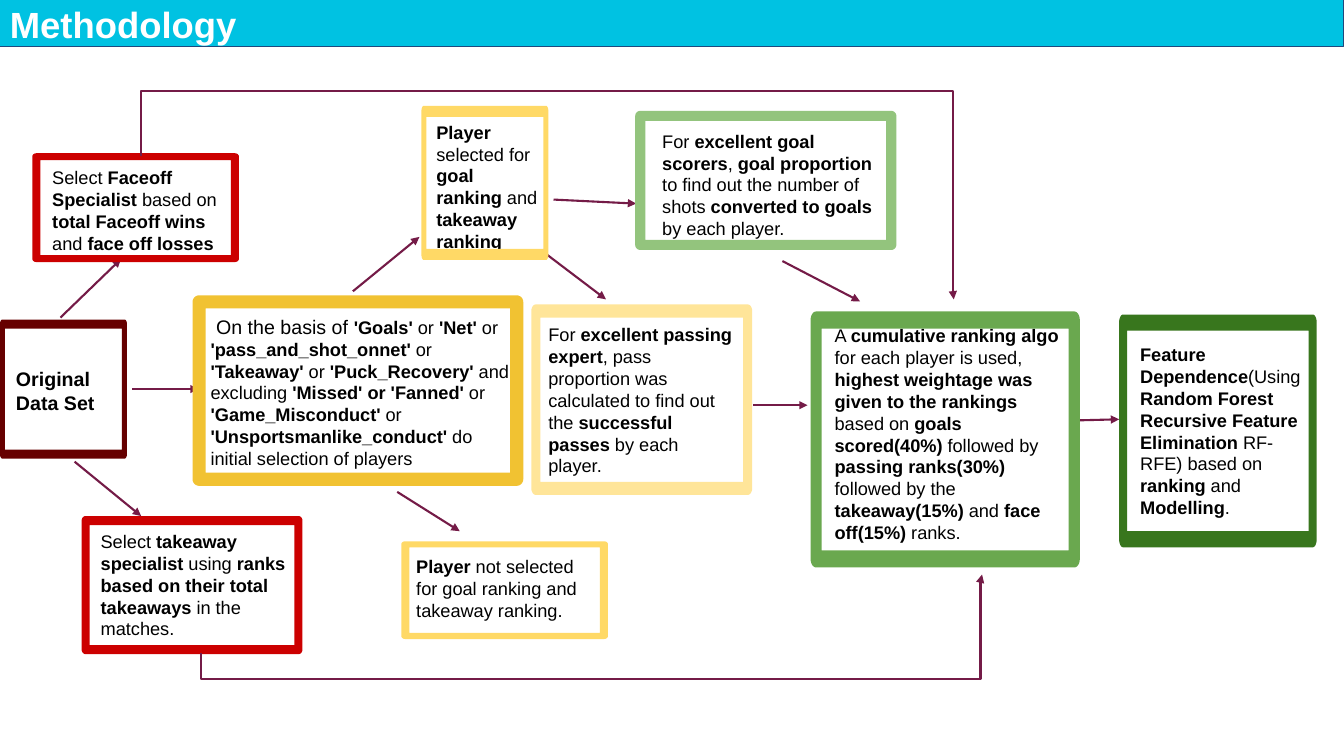
"""Build the Methodology slide: a flow of framed steps from the data set to modelling."""
from math import cos, pi, sin

from lxml.etree import SubElement
from pptx import Presentation
from pptx.dml.color import RGBColor
from pptx.enum.shapes import MSO_CONNECTOR as Connector, MSO_SHAPE as Preset
from pptx.enum.text import MSO_ANCHOR as Anchor, PP_ALIGN as Align
from pptx.oxml.ns import qn
from pptx.util import Inches, Pt

COLORS = {
    "banner": "00C2E2", "banner line": "1F497D", "arrow": "741B47", "black": "000000", "white": "FFFFFF",
    "maroon": "660000", "red": "CC0000", "gold": "F1C232", "yellow": "FFD966", "cream": "FFE599",
    "light green": "93C47D", "green": "6AA84F", "dark green": "38761D",
}
COLORS = {name: RGBColor.from_string(value) for name, value in COLORS.items()}


def write(shape, text, size, color="black", lead_size=None):
    """Fill a shape with text in which asterisks switch bold on and off."""
    frame = shape.text_frame
    layout = {"word_wrap": True, "margin_left": Inches(0.1), "margin_right": Inches(0.1),
              "margin_top": Inches(0.1), "margin_bottom": Inches(0.1)}
    for name, value in layout.items():
        setattr(frame, name, value)
    para = frame.paragraphs[0]
    para.alignment = Align.LEFT
    for index, part in enumerate(text.split("*")):
        if part:
            span = para.add_run()
            span.text = part
            span_size = lead_size if lead_size and index == 0 else size
            for name, value in {"name": "Arial", "size": Pt(span_size), "bold": index % 2 == 1}.items():
                setattr(span.font, name, value)
            span.font.color.rgb = COLORS[color]


def add_arrow(kind, start, end):
    """Draw a connector with a triangle head at its end."""
    arrow = page.shapes.add_connector(kind, *map(Inches, start + end))
    arrow.line.color.rgb = COLORS["arrow"]
    arrow.line.width = Pt(1.5)
    SubElement(arrow.line._get_or_add_ln(), qn("a:tailEnd"), type="triangle")
    SubElement(arrow._element.spPr, qn("a:effectLst"))
    return arrow


deck = Presentation()
deck.slide_width, deck.slide_height = Inches(13.33), Inches(7.5)
page = deck.slides.add_slide(deck.slide_layouts[6])

panels = [
    ((0, -0.03, 13.33, 0.49), "banner", "banner line", 0.75, ""),
    ((11.21, 1.86, 1.91, 4.83), "white", "white", 2.25,
     "*Feature Dependence*(Using *Random Forest Recursive Feature Elimination *RF-RFE) based on "
     "*ranking *and *Modelling*."),
]
for place, fill, line, width, text in panels:
    panel = page.shapes.add_shape(Preset.RECTANGLE, *map(Inches, place))
    panel.shadow.inherit = False
    panel.fill.solid()
    panel.fill.fore_color.rgb = COLORS[fill]
    panel.line.color.rgb = COLORS[line]
    panel.line.width = Pt(width)
    if text:
        panel.text_frame.vertical_anchor = Anchor.MIDDLE
        write(panel, text, 13)

texts = [
    ((0, -0.08, 9.3, 0.64), "*Methodology*", {"size": 26, "color": "white"}),
    ((0.06, 3.54, 1.22, 0.67), "*Original Data Set*", {"size": 14}),
    ((0.42, 1.55, 1.96, 1.08),
     "Select *Faceoff Specialist *based on *total Faceoff wins* and *face off losses*", {"size": 13}),
    ((0.9, 5.16, 2.19, 1.32),
     "Select *takeaway specialist* using *ranks based on their total takeaways* in the matches.", {"size": 13}),
    ((4.03, 5.41, 1.96, 0.86),
     "*Player *not selected for goal ranking and takeaway ranking.", {"size": 13}),
    ((6.47, 1.19, 2.33, 1.53),
     "For *excellent goal scorers*, *goal proportion* to find out the number of shots "
     "*converted to goals* by each player.", {"size": 13}),
    ((1.99, 3.02, 3.21, 2.31),
     " On the basis of *'Goals' *or *'Net' *or *'pass_and_shot_onnet'* or *'Takeaway'* or "
     "*'Puck_Recovery'* and excluding *'Missed' or 'Fanned'* or *'Game_Misconduct'* or "
     "*'Unsportsmanlike_conduct'* do initial selection of players", {"size": 13, "lead_size": 14}),
    ((4.23, 1.1, 1.26, 1.75),
     "*Player *selected for *goal ranking* and *takeaway ranking*", {"size": 13}),
    ((5.34, 3.11, 2.05, 1.99),
     "For *excellent passing expert*, pass proportion was calculated to find out the "
     "*successful passes* by each player.", {"size": 13}),
    ((8.18, 3.12, 2.54, 2.64),
     "A *cumulative ranking algo *for each player is used, *highest weightage was given to the "
     "rankings* based on* goals scored(40%) *followed by *passing ranks(30%)* followed by the "
     "*takeaway(15%) *and *face off(15%)* ranks.", {"size": 13}),
]
for place, text, style in texts:
    write(page.shapes.add_textbox(*map(Inches, place)), text, **style)

arrows = [
    ((1.31, 3.86), (1.97, 3.86)), ((0.6, 3.15), (1.2, 2.57)), ((0.74, 4.58), (1.4, 5.12)),
    ((3.94, 4.88), (4.56, 5.27)), ((3.5, 2.89), (4.16, 2.35)), ((5.49, 1.98), (6.31, 2.02)),
    ((5.43, 2.53), (6.01, 2.97)), ((7.76, 2.59), (8.53, 2.99)), ((7.47, 4.02), (8.01, 4.02)),
    ((10.71, 4.17), (11.1, 4.16)),
]
for start, end in arrows:
    add_arrow(Connector.STRAIGHT, start, end)

frames = [
    ((1.91, 2.93, 3.28, 1.89), 0.13, 0.13, "gold"),
    ((0.32, 1.52, 2.05, 1.08), 0.08, 0.07, "red"),
    ((0.81, 5.12, 2.19, 1.37), 0.08, 0.09, "red"),
    ((4.18, 1.05, 1.26, 1.53), 0.05, 0.11, "yellow"),
    ((6.3, 1.1, 2.59, 1.38), 0.1, 0.1, "light green"),
    ((5.27, 3.02, 2.19, 1.89), 0.09, 0.13, "cream"),
    ((8.04, 3.09, 2.67, 2.54), 0.11, 0.17, "green"),
    ((3.98, 5.37, 2.05, 0.97), 0.08, 0.06, "yellow"),
    ((11.1, 3.12, 1.96, 2.31), 0.08, 0.16, "dark green"),
    ((0, 3.17, 1.26, 1.38), 0.05, 0.09, "maroon"),
]
for (left, top, width, height), side, edge, color in frames:
    right, bottom = left + width, top + height
    radius_x, radius_y = side / 2, edge / 2
    centers = [(right - radius_x, bottom - radius_y), (left + radius_x, bottom - radius_y),
               (left + radius_x, top + radius_y), (right - radius_x, top + radius_y)]
    outer = [(x + radius_x * cos(angle), y + radius_y * sin(angle))
             for corner, (x, y) in enumerate(centers)
             for angle in [(corner + step / 6) * pi / 2 for step in range(7)]]
    inner = [(left + side, top + edge), (left + side, bottom - edge),
             (right - side, bottom - edge), (right - side, top + edge)]
    outer, inner = [[(Inches(x), Inches(y)) for x, y in ring] for ring in (outer, inner)]
    builder = page.shapes.build_freeform(*outer[0])
    builder.add_line_segments(outer[1:], close=True)
    builder.move_to(*inner[0])
    builder.add_line_segments(inner[1:], close=True)
    border = builder.convert_to_shape()
    border.shadow.inherit = False
    border.fill.solid()
    border.fill.fore_color.rgb = COLORS[color]
    border.line.fill.background()

detours = [
    ((1.4, 1.55), (9.46, 2.97), -45700, 99900),
    ((1.99, 6.48), (9.74, 5.7), -33400, 99800),
]
for (start_x, start_y), (end_x, end_y), *bends in detours:
    middle_x, middle_y = (start_x + end_x) / 2, (start_y + end_y) / 2
    half_x, half_y = (end_y - start_y) / 2, (end_x - start_x) / 2
    detour = add_arrow(Connector.ELBOW, (middle_x + half_x, middle_y - half_y),
                       (middle_x - half_x, middle_y + half_y))
    properties = detour._element.spPr
    properties.find(qn("a:xfrm")).set("rot", str(270 * 60000))
    geometry = properties.find(qn("a:prstGeom"))
    geometry.set("prst", "bentConnector4")
    for number, bend in enumerate(bends, 1):
        SubElement(geometry.find(qn("a:avLst")), qn("a:gd"), name=f"adj{number}", fmla=f"val {bend}")

deck.save("out.pptx")
